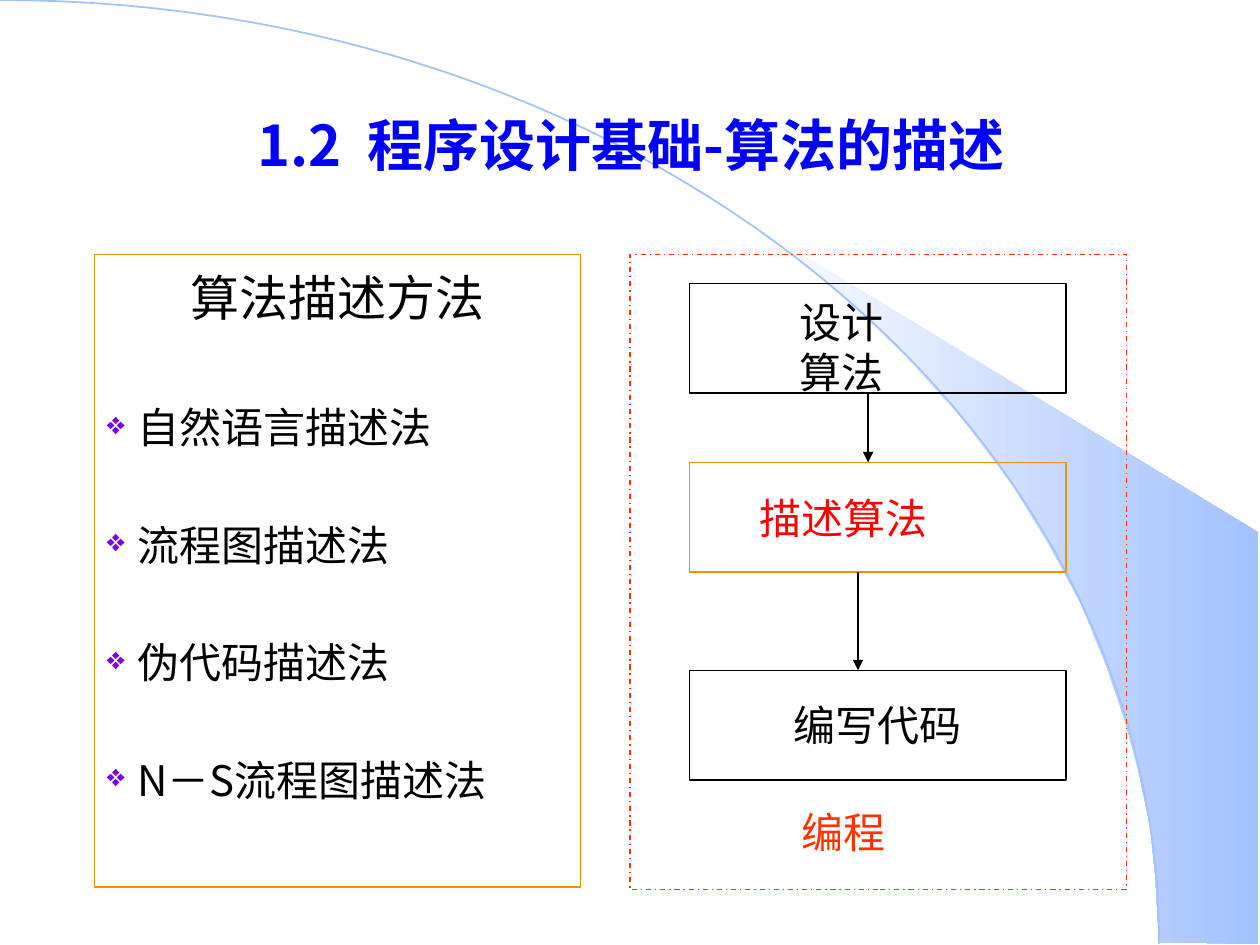
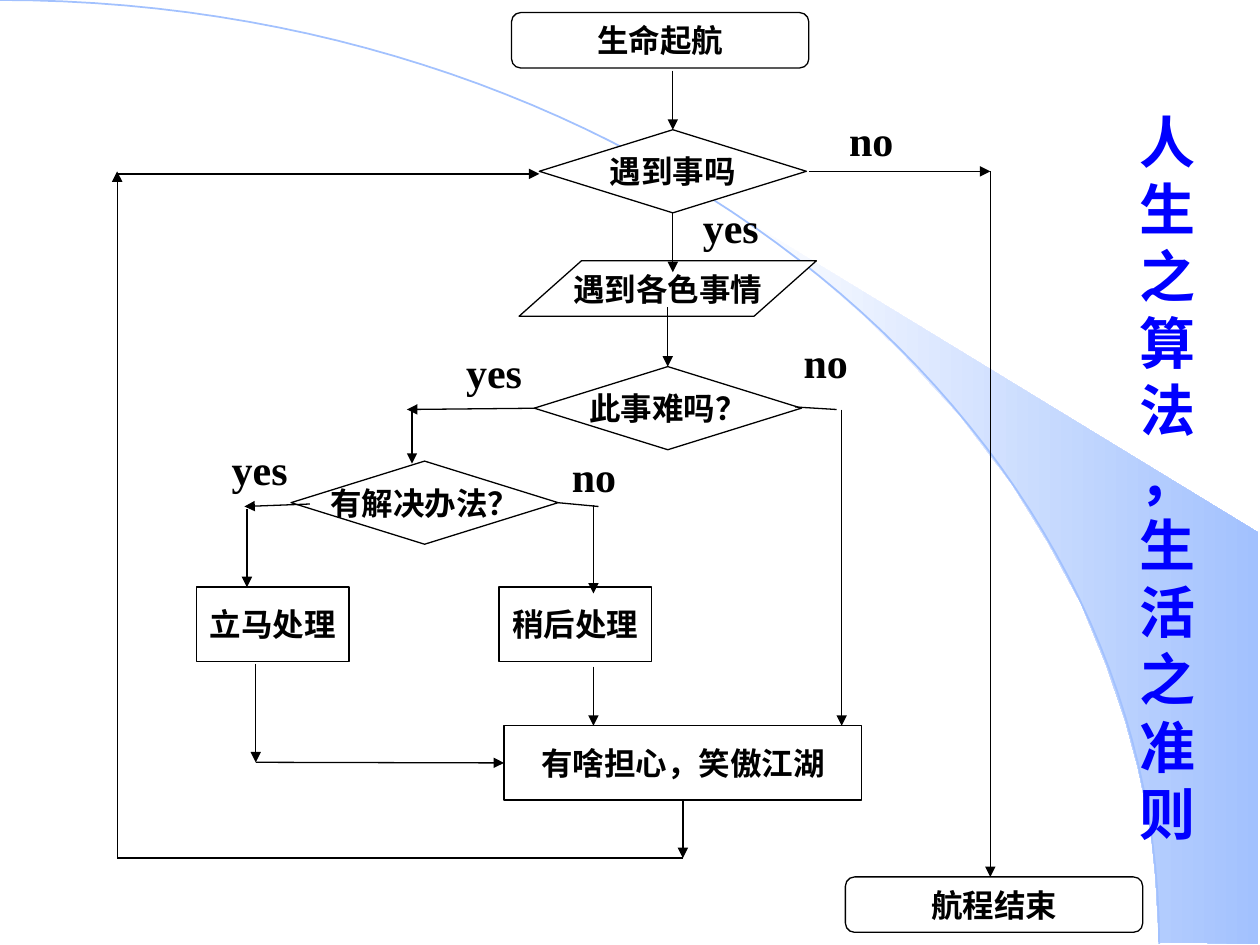
import lxml.etree
import pptx
import pptx.dml.color
import pptx.enum.dml
import pptx.enum.shapes
import pptx.enum.text
import pptx.oxml
import pptx.oxml.ns
import pptx.util

EMU_PER_PX = 9144
RGB = pptx.dml.color.RGBColor
BLACK = RGB(0x00, 0x00, 0x00)
WHITE = RGB(0xFF, 0xFF, 0xFF)
BLUE = RGB(0x00, 0x00, 0xFF)
RED = RGB(0xFF, 0x00, 0x00)
VERMILION = RGB(0xFF, 0x33, 0x00)
AMBER = RGB(0xEF, 0x91, 0x00)
VIOLET = RGB(0x7B, 0x00, 0xE4)
SKY = RGB(0xA2, 0xC1, 0xFE)
HAN = "Noto Sans CJK SC"
SERIF = "Times New Roman"
SHAPE = pptx.enum.shapes.MSO_SHAPE
ALIGN = pptx.enum.text.PP_ALIGN
ANCHOR = pptx.enum.text.MSO_ANCHOR

SWOOSH = [(920, 748), (999, 749), (999, 423), (589, 173), (624, 199), (653, 222),
          (685, 250), (716, 280), (762, 330), (803, 384), (832, 431), (858, 479),
          (878, 528), (893, 572), (903, 609), (913, 656), (917, 696)]
ARC = [(0, 0), (508, 0), (920, 335), (920, 749)]
ARC_STEPS = 60

METHODS = ["自然语言描述法", "流程图描述法", "伪代码描述法", "N－S流程图描述法"]

TERMINAL = (SHAPE.ROUNDED_RECTANGLE, 236, 44)
DECISION = (SHAPE.DIAMOND, 212, 66)
EVENT = (SHAPE.PARALLELOGRAM, 236, 44)
ACTION = (SHAPE.RECTANGLE, 121, 59)
OUTCOME = (SHAPE.RECTANGLE, 284, 59)
STEPS = {
    "start": ("生命起航", TERMINAL, 313, 0),
    "met": ("遇到事吗", DECISION, 335, 93),
    "events": ("遇到各色事情", EVENT, 319, 197),
    "hard": ("此事难吗？", DECISION, 331, 281),
    "solvable": ("有解决办法？", DECISION, 138, 356),
    "now": ("立马处理", ACTION, 63, 456),
    "later": ("稍后处理", ACTION, 303, 456),
    "carefree": ("有啥担心，笑傲江湖", OUTCOME, 307, 566),
    "end": ("航程结束", TERMINAL, 578, 686),
}
ARROWS = [
    ((441, 46), (441, 93), None, ("met", 0)),
    ((441, 159), (441, 206), ("met", 2), None),
    ((437, 234), (437, 281), None, ("hard", 0)),
    ((333, 314), (230, 315), None, None),
    ((234, 316), (234, 358), None, None),
    ((153, 390), (101, 392), None, None),
    ((103, 394), (103, 456), None, None),
    ((378, 391), (378, 461), None, None),
    ((378, 519), (378, 566), None, None),
    ((575, 315), (575, 566), None, None),
    ((110, 517), (110, 595), None, None),
    ((110, 595), (307, 595), None, ("carefree", 1)),
    ((449, 624), (449, 671), ("carefree", 2), None),
    ((0, 671), (0, 126), None, None),
    ((0, 128), (335, 128), None, None),
    ((549, 126), (693, 126), None, None),
    ((693, 126), (693, 686), None, None),
]
PLAIN_LINES = [
    ((350, 390), (382, 392), ("solvable", 3), None),
    ((538, 313), (571, 315), None, None),
    ((449, 671), (0, 671), None, None),
]
ANSWERS = [("no", 535, 252), ("yes", 267, 260), ("yes", 81, 337),
           ("no", 351, 343), ("yes", 455, 145), ("no", 571, 76)]


def px(length):
    return pptx.util.Emu(round(length * EMU_PER_PX))


def add_xml(parent, tag, **attributes):
    return lxml.etree.SubElement(parent, pptx.oxml.ns.qn(tag), attributes)


def style(paragraph, size, color=BLACK, bold=False, latin=HAN, align=ALIGN.LEFT):
    paragraph.alignment = align
    for run in paragraph.runs:
        run.font.size = pptx.util.Pt(size)
        run.font.bold = bold
        run.font.color.rgb = color
        run.font.name = latin
        add_xml(run.font._element, "a:ea", typeface=HAN)


def tighten(paragraph, size):
    paragraph.line_spacing = pptx.util.Pt(round(size * 1.2, 1))


def add_box(slide, kind, left, top, width, height, line, fill=None):
    box = slide.shapes.add_shape(kind, px(left), px(top), px(width), px(height))
    box.shadow.inherit = False
    if fill is None:
        box.fill.background()
    else:
        box.fill.solid()
        box.fill.fore_color.rgb = fill
    box.line.color.rgb = line
    box.line.width = pptx.util.Pt(0.75)
    return box


def add_label(slide, text, left, top, width, height):
    label = slide.shapes.add_textbox(px(left), px(top), px(width), px(height))
    label.text_frame.word_wrap = True
    label.text_frame.text = text
    return label.text_frame


def add_line(slide, start, finish, arrow=True):
    line = slide.shapes.add_connector(
        pptx.enum.shapes.MSO_CONNECTOR.STRAIGHT, *map(px, start + finish))
    line.line.color.rgb = BLACK
    line.line.width = pptx.util.Pt(0.75)
    if arrow:
        add_xml(line.line._get_or_add_ln(), "a:tailEnd", type="triangle")
    add_xml(line._element.spPr, "a:effectLst")
    return line


def add_outline(slide, points, close):
    corners = [(px(x), px(y)) for x, y in points]
    builder = slide.shapes.build_freeform(*corners[0])
    builder.add_line_segments(corners[1:], close=close)
    outline = builder.convert_to_shape()
    outline.shadow.inherit = False
    return outline


def arc_point(t):
    weights = ((1 - t) ** 3, 3 * t * (1 - t) ** 2, 3 * t * t * (1 - t), t ** 3)
    return tuple(sum(w * p[axis] for w, p in zip(weights, ARC)) for axis in (0, 1))


def paint_backdrop(slide, master):
    swoosh = add_outline(slide, SWOOSH, True)
    swoosh.line.fill.background()
    swoosh.fill.gradient()
    swoosh.fill.gradient_angle = 0
    for stop, color in zip(swoosh.fill.gradient_stops, (WHITE, SKY)):
        stop.color.rgb = color
    arc = add_outline(slide, [arc_point(i / ARC_STEPS) for i in range(ARC_STEPS + 1)], False)
    arc.fill.background()
    arc.line.color.rgb = SKY
    arc.line.width = pptx.util.Pt(1)
    for order, part in enumerate((swoosh, arc)):
        part._element.nvSpPr.cNvPr.set("id", str(100 + order))
        master.shapes._spTree.insert(2 + order, part._element)


def set_title(slide, text, left, top, width, height):
    title = slide.shapes.title
    title.left, title.top, title.width, title.height = map(px, (left, top, width, height))
    frame = title.text_frame
    frame.text = text
    frame.word_wrap = True
    frame.auto_size = pptx.enum.text.MSO_AUTO_SIZE.NONE
    frame.vertical_anchor = ANCHOR.MIDDLE
    for paragraph in frame.paragraphs:
        style(paragraph, 32, BLUE, bold=True, align=ALIGN.CENTER)
    return frame


def add_methods(slide, left, top, width, height):
    frame = add_box(slide, SHAPE.RECTANGLE, left, top, width, height, AMBER).text_frame
    frame.word_wrap = True
    frame.vertical_anchor = ANCHOR.TOP
    frame.margin_top = px(10)
    frame.text = "算法描述方法"
    style(frame.paragraphs[0], 28, align=ALIGN.CENTER)
    tighten(frame.paragraphs[0], 28)
    for order, method in enumerate(METHODS):
        item = frame.add_paragraph()
        item.text = method
        item.space_before = pptx.util.Pt(38.3 if order else 43.4)
        tighten(item, 24)
        properties = item._p.get_or_add_pPr()
        properties.set("marL", str(px(24)))
        properties.set("indent", str(-px(24)))
        add_xml(add_xml(properties, "a:buClr"), "a:srgbClr", val=str(VIOLET))
        add_xml(properties, "a:buSzPct", val="75000")
        add_xml(properties, "a:buChar", char="❖")
        style(item, 24)


def add_programming(slide, left, top, width, height):
    stage_left, stage_width, stage_height = left + 47, 299, 87
    design_top, describe_top, code_top = top + 23, top + 165, top + 330

    def add_stage(stage_top, line):
        return add_box(slide, SHAPE.RECTANGLE, stage_left, stage_top,
                       stage_width, stage_height, line)

    add_stage(design_top, BLACK)
    design = add_label(slide, "设计算法", left + 118, design_top, 100, 100)
    design.word_wrap = False
    design.vertical_anchor = ANCHOR.MIDDLE
    style(design.paragraphs[0], 24, align=ALIGN.CENTER)

    code = add_stage(code_top, BLACK).text_frame
    code.text = "编写代码"
    code.word_wrap = False
    style(code.paragraphs[0], 24, align=ALIGN.CENTER)

    frame = add_box(slide, SHAPE.RECTANGLE, left, top, width, height, VERMILION)
    frame.line.dash_style = pptx.enum.dml.MSO_LINE.DASH_DOT
    caption = add_label(slide, "编程", left + 126, top + 433, 173, 51)
    style(caption.paragraphs[0], 24, VERMILION)
    tighten(caption.paragraphs[0], 24)

    describe = add_stage(describe_top, AMBER).text_frame
    describe.text = "描述算法"
    describe.word_wrap = True
    describe.margin_left = px(56)
    style(describe.paragraphs[0], 24, RED)

    for x, upper, lower in ((left + 189, design_top, describe_top),
                            (left + 181, describe_top, code_top)):
        add_line(slide, (x, upper + stage_height), (x, lower))


def add_flowchart(slide, left, top):
    steps = {}
    for key, (text, (kind, width, height), x, y) in STEPS.items():
        step = add_box(slide, kind, left + x, top + y, width, height, BLACK, WHITE)
        if kind == SHAPE.PARALLELOGRAM:
            step.adjustments[0] = 1.125
        step.text_frame.text = text
        step.text_frame.word_wrap = False
        step.text_frame.vertical_anchor = ANCHOR.MIDDLE
        style(step.text_frame.paragraphs[0], 18, bold=True, latin=SERIF, align=ALIGN.CENTER)
        steps[key] = step

    for routes, arrow in ((ARROWS, True), (PLAIN_LINES, False)):
        for (x1, y1), (x2, y2), source, target in routes:
            line = add_line(slide, (left + x1, top + y1), (left + x2, top + y2), arrow)
            if source:
                line.begin_connect(steps[source[0]], source[1])
            if target:
                line.end_connect(steps[target[0]], target[1])

    for answer, x, y in ANSWERS:
        label = add_label(slide, answer, left + x, top + y, 79, 50)
        style(label.paragraphs[0], 24, bold=True, latin=SERIF)


def build_description_slide(slide):
    set_title(slide, "1.2  程序设计基础-算法的描述", 114, 68, 774, 92)
    add_methods(slide, 75, 202, 386, 502)
    add_programming(slide, 500, 202, 394, 504)


def build_life_slide(slide):
    motto = set_title(slide, "人生之算法\n，生活之准则", 883, 74, 87, 602)
    motto.vertical_anchor = ANCHOR.TOP
    motto.margin_top = px(11)
    for paragraph in motto.paragraphs:
        tighten(paragraph, 32)
    add_flowchart(slide, 93, 10)


def main():
    deck = pptx.Presentation()
    deck.slide_width, deck.slide_height = px(1000), px(750)
    title_only = deck.slide_layouts[5]
    description, life = (deck.slides.add_slide(title_only) for _ in range(2))
    paint_backdrop(description, deck.slide_master)
    build_description_slide(description)
    build_life_slide(life)
    deck.save("out.pptx")


if __name__ == "__main__":
    main()
